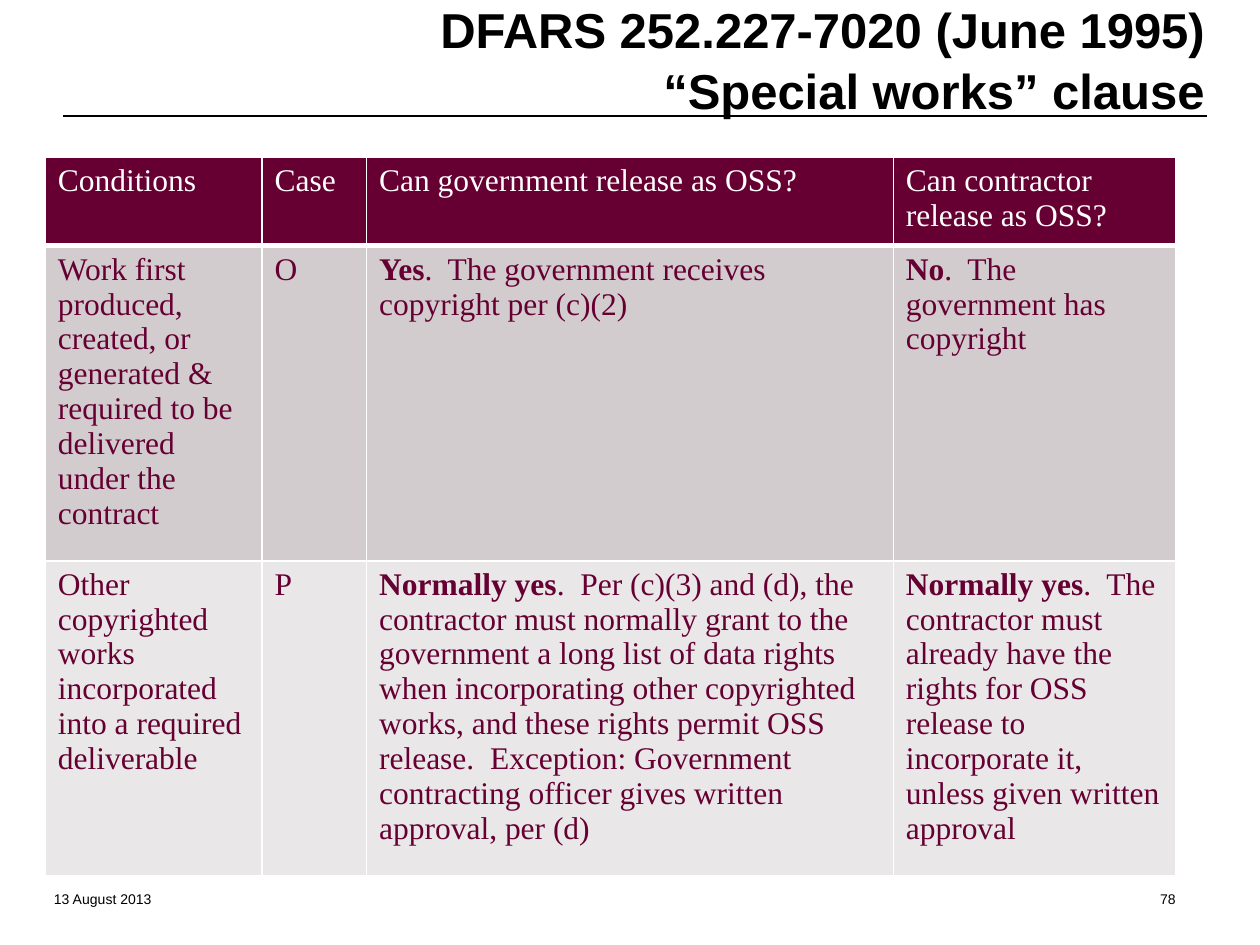
import pptx
import pptx.dml.color
import pptx.enum.shapes
import pptx.enum.text
import pptx.oxml
import pptx.oxml.ns
import pptx.util

Inch = pptx.util.Inches
Align = pptx.enum.text.PP_ALIGN
Anchor = pptx.enum.text.MSO_ANCHOR
Fit = pptx.enum.text.MSO_AUTO_SIZE
WIDE, HIGH = 10, 7.5

theme = {
    "ink": "000000", "paper": "FFFFFF", "wine": "660033",
    "bands": ["660033", "D3CCCE", "EAE7E8"],
    "head": {"name": "Arial", "size": 28, "bold": True},
    "body": {"name": "Times New Roman", "size": 18, "bold": False},
    "foot": {"name": "Arial", "size": 8, "bold": False},
}


def write(par, text, style, tint, **more):
    run = par.add_run()
    run.text = text
    for key, val in {**theme[style], **more}.items():
        setattr(run.font, key, pptx.util.Pt(val) if key == "size" else val)
    run.font.color.rgb = pptx.dml.color.RGBColor.from_string(tint)


def edge(cell, sides):
    # Borders come before the fill in the cell properties
    props = cell._tc.get_or_add_tcPr()
    for spot, (side, width) in enumerate(sides.items()):
        props.insert(spot, pptx.oxml.parse_xml(
            f'<a:{side} {pptx.oxml.ns.nsdecls("a")} w="{pptx.util.Pt(width)}">'
            f'<a:solidFill><a:srgbClr val="{theme["paper"]}"/></a:solidFill>'
            f'</a:{side}>'))


deck = pptx.Presentation()
deck.slide_width, deck.slide_height = Inch(WIDE), Inch(HIGH)
slide = deck.slides.add_slide(deck.slide_layouts[5])
shapes = slide.shapes

# Rule under the title
rule = shapes.add_connector(
    pptx.enum.shapes.MSO_CONNECTOR.STRAIGHT,
    Inch(0.5), Inch(0.92), Inch(9.58), Inch(0.92))
rule.line.width = pptx.util.Pt(0.75)
rule.line.color.rgb = pptx.dml.color.RGBColor.from_string(theme["ink"])
rule._element.spPr.append(pptx.oxml.parse_xml(
    f'<a:effectLst {pptx.oxml.ns.nsdecls("a")}/>'))

# Title
title = shapes.title
for key, val in zip(("left", "top", "width", "height"),
                    (2.83, -0.04, 6.83, 1.04)):
    setattr(title, key, Inch(val))
form = {"word_wrap": True, "vertical_anchor": Anchor.BOTTOM,
        "auto_size": Fit.SHAPE_TO_FIT_TEXT}
for key, val in form.items():
    setattr(title.text_frame, key, val)
par = title.text_frame.paragraphs[0]
par.alignment, par.line_spacing = Align.RIGHT, 1.05
write(par, "DFARS 252.227-7020 (June 1995) “Special works” clause",
      "head", theme["ink"])

# Table: each cell is a bold lead and the plain rest
cols, rows = [1.72, 0.83, 4.18, 2.24], [0.7, 2.5, 2.5]
cells = [
    [("", "Conditions"), ("", "Case"),
     ("", "Can government release as OSS?"),
     ("", "Can contractor release as OSS?")],
    [("", "Work first produced, created, or generated & required to be "
          "delivered under the contract"),
     ("", "O"),
     ("Yes", ".  The government receives copyright per (c)(2)"),
     ("No", ".  The government has copyright")],
    [("", "Other copyrighted works incorporated into a required deliverable"),
     ("", "P"),
     ("Normally yes",
      ".  Per (c)(3) and (d), the contractor must normally grant to the "
      "government a long list of data rights when incorporating other "
      "copyrighted works, and these rights permit OSS release.  Exception: "
      "Government contracting officer gives written approval, per (d)"),
     ("Normally yes",
      ".  The contractor must already have the rights for OSS release to "
      "incorporate it, unless given written approval")],
]
table = shapes.add_table(
    len(rows), len(cols), Inch(0.36), Inch(1.25),
    Inch(sum(cols)), Inch(sum(rows))).table
for col, width in zip(table.columns, cols):
    col.width = Inch(width)
for r, (row, high) in enumerate(zip(cells, rows)):
    table.rows[r].height = Inch(high)
    tint = theme["wine"] if r else theme["paper"]
    for c, (lead, rest) in enumerate(row):
        cell = table.cell(r, c)
        cell.fill.solid()
        cell.fill.fore_color.rgb = pptx.dml.color.RGBColor.from_string(
            theme["bands"][r])
        edge(cell, {"lnL": 1, "lnR": 1, "lnT": 1, "lnB": 1 if r else 3})
        par = cell.text_frame.paragraphs[0]
        if lead:
            write(par, lead, "body", tint, bold=True)
        write(par, rest, "body", tint)

# Footer: date and page number
for left, text, side in ((0.33, "13 August 2013", Align.LEFT),
                         (7.35, "78", Align.RIGHT)):
    frame = shapes.add_textbox(Inch(left), Inch(0.9 * HIGH),
                               Inch(2.08), Inch(0.5)).text_frame
    form = {"word_wrap": True, "vertical_anchor": Anchor.BOTTOM}
    for key, val in form.items():
        setattr(frame, key, val)
    par = frame.paragraphs[0]
    par.alignment = side
    write(par, text, "foot", theme["ink"])

deck.save("out.pptx")
